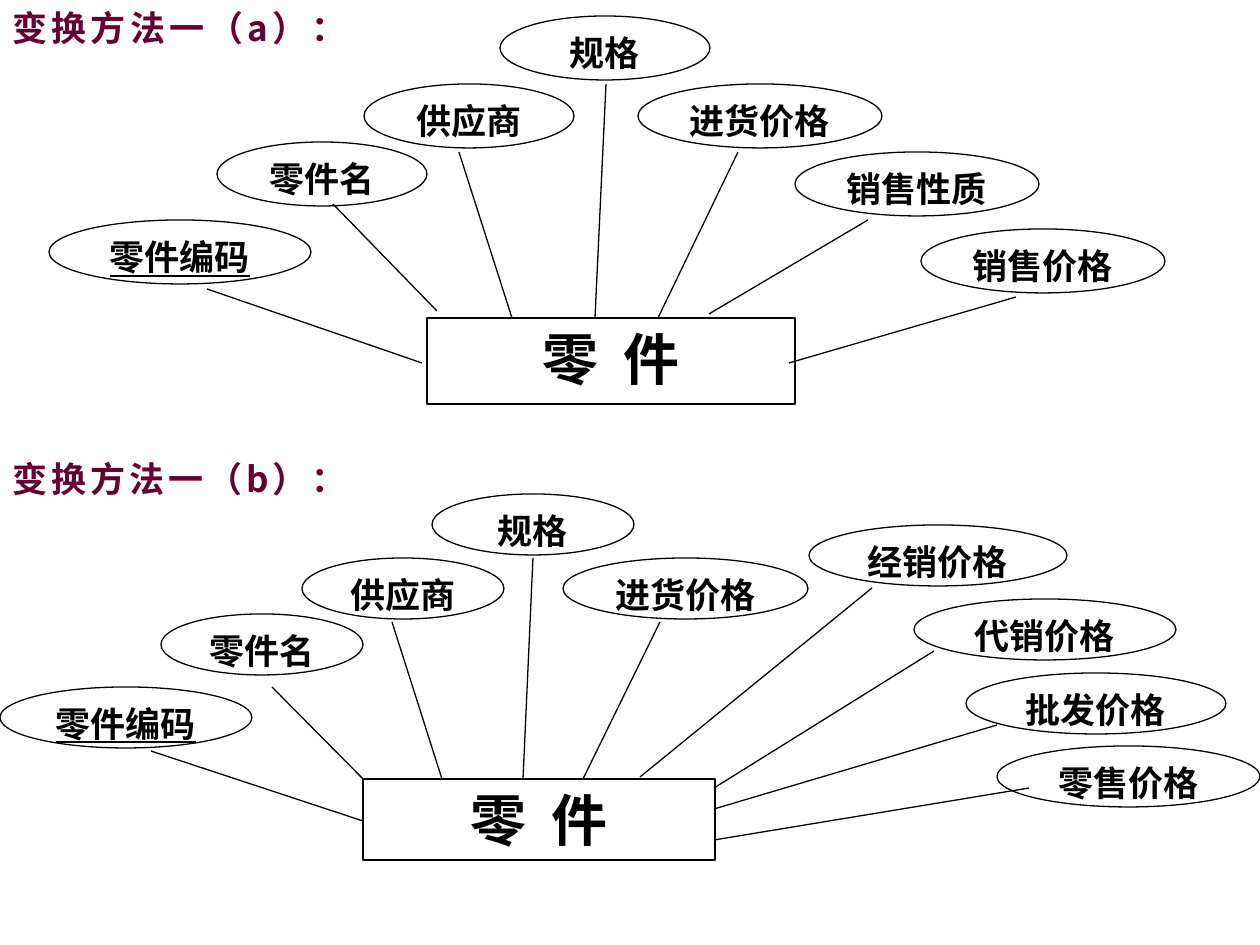
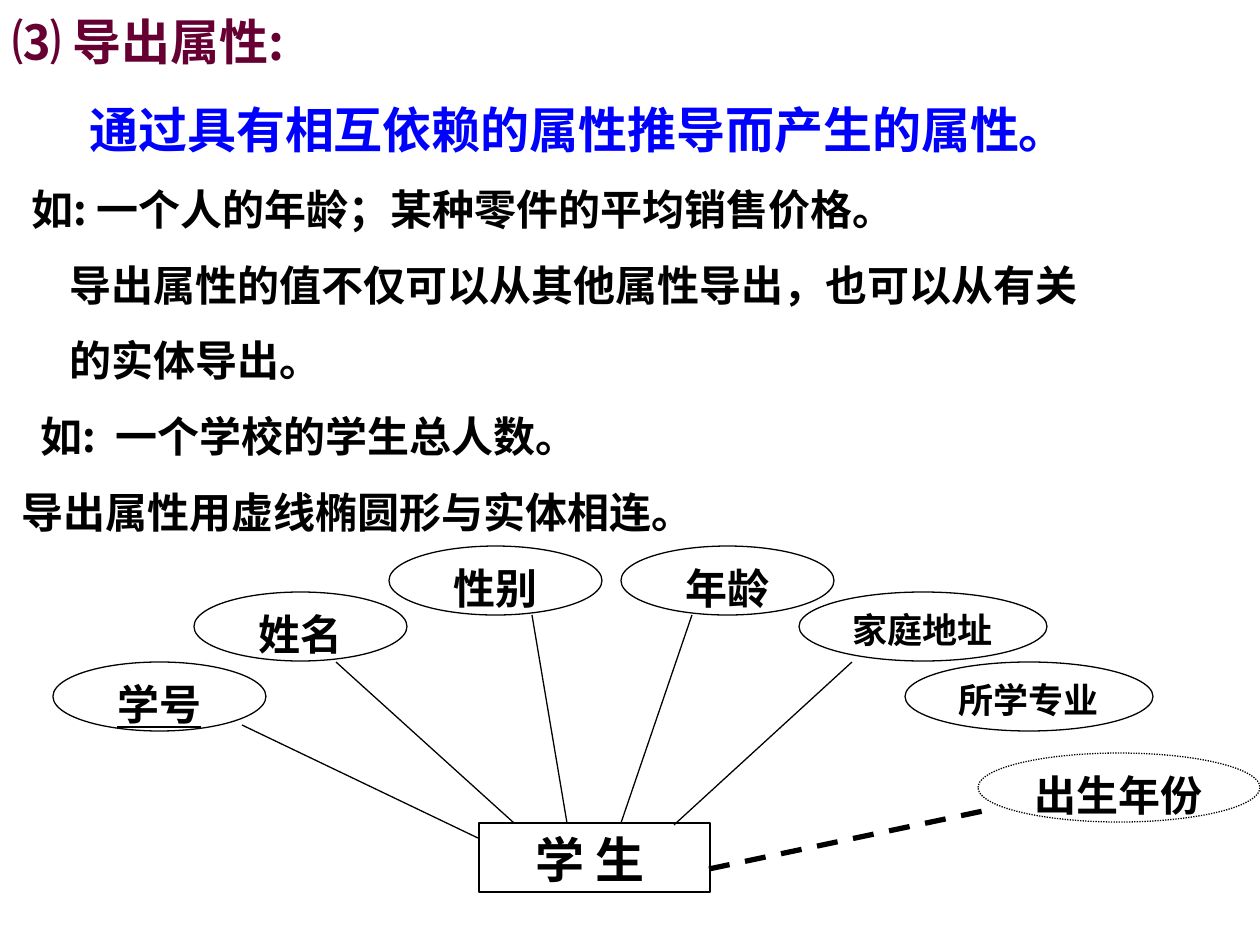
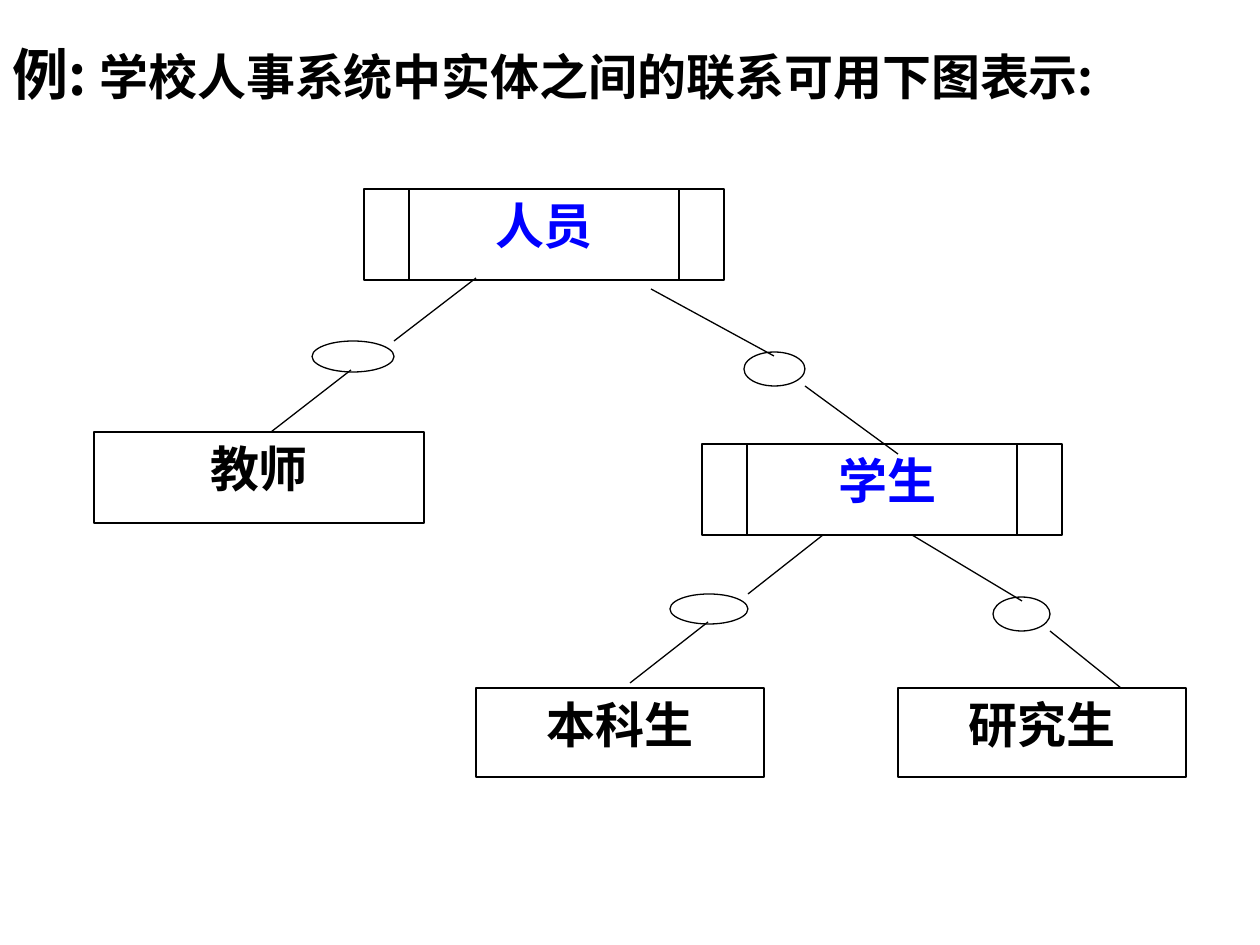
from lxml.etree import SubElement
from pptx import Presentation
from pptx.dml.color import RGBColor
from pptx.enum.dml import MSO_LINE_DASH_STYLE as Dash
from pptx.enum.shapes import MSO_CONNECTOR, MSO_SHAPE as Shape
from pptx.enum.text import MSO_ANCHOR, PP_ALIGN as Align
from pptx.oxml.ns import qn
from pptx.util import Emu, Pt

SCALE = 914400 / 126  # EMU in one px
COLORS = {"ink": "000000", "paper": "FFFFFF", "heading": "660033", "accent": "0000FF"}
SANS, SERIF = "Noto Sans CJK SC", "Times New Roman"

# Ellipses: text, left, top, width.  Lines: x1, y1, x2, y2.
METHODS = [
    {
        "title": "变换方法一（a）：", "title_top": 0, "height": 64,
        "entity": ("零  件", 427, 318, 368, 86),
        "attributes": [
            ("零件编码", 49, 220, 262), ("零件名", 217, 142, 210),
            ("供应商", 364, 84, 210), ("规格", 500, 16, 210),
            ("进货价格", 638, 84, 244), ("销售性质", 795, 152, 244),
            ("销售价格", 921, 229, 244),
        ],
        "lines_below": [],
        "lines_above": [
            (333, 204, 437, 311), (207, 289, 422, 363), (459, 152, 512, 318),
            (606, 84, 595, 318), (738, 152, 658, 318), (868, 220, 709, 314),
            (1016, 297, 789, 363),
        ],
    },
    {
        "title": "变换方法一（b）：", "title_top": 451, "height": 61,
        "entity": ("零  件", 363, 779, 352, 81),
        "attributes": [
            ("零件编码", 0, 687, 252), ("零件名", 161, 614, 202),
            ("供应商", 302, 558, 202), ("规格", 432, 494, 202),
            ("进货价格", 563, 558, 245), ("经销价格", 809, 525, 258),
            ("代销价格", 914, 599, 262), ("批发价格", 966, 673, 260),
            ("零售价格", 997, 746, 263),
        ],
        "lines_below": [
            (272, 687, 372, 788), (151, 751, 372, 824), (392, 622, 442, 779),
            (533, 558, 523, 779), (660, 622, 583, 779), (872, 588, 640, 777),
        ],
        "lines_above": [
            (934, 651, 714, 788), (997, 725, 714, 809), (1029, 788, 714, 840),
        ],
    },
]

# Text, size, colour, indent
DERIVED_TEXT = [
    ("⑶ 导出属性:", 28, "heading", 0),
    ("通过具有相互依赖的属性推导而产生的属性。", 28, "accent", 77),
    ("如: 一个人的年龄；某种零件的平均销售价格。", 24, "ink", 19),
    ("导出属性的值不仅可以从其他属性导出，也可以从有关", 24, "ink", 57),
    ("的实体导出。", 24, "ink", 57),
    ("如:  一个学校的学生总人数。", 24, "ink", 28),
    ("导出属性用虚线椭圆形与实体相连。", 24, "ink", 9),
]
# Text, size, left, top, width
STUDENT_ATTRIBUTES = [
    ("学号", 24, 53, 662, 213), ("姓名", 24, 194, 592, 213),
    ("性别", 24, 389, 546, 213), ("年龄", 24, 621, 546, 213),
    ("家庭地址", 20, 799, 592, 248), ("所学专业", 20, 905, 662, 248),
    ("出生年份", 24, 978, 753, 282),
]
STUDENT_LINES = [
    (242, 725, 478, 838), (336, 662, 514, 823), (532, 615, 567, 823),
    (692, 615, 621, 823), (852, 662, 674, 825),
]

EXAMPLE_TITLE = [("例: ", 32), ("学校人事系统中实体之间的联系可用下图表示:", 28)]
# Text, place, indent
SUPERTYPES = [("人员", (364, 189, 360, 91), 0), ("学生", (702, 444, 360, 91), 11)]
SUBTYPES = [
    ("教师", (94, 432, 330, 91)),
    ("本科生", (476, 688, 288, 89)),
    ("研究生", (898, 688, 288, 89)),
]
LINK_ELLIPSES = [
    (312, 341, 82, 31), (744, 352, 61, 34), (670, 594, 78, 30), (993, 597, 57, 34),
]
LINK_LINES = [
    (394, 341, 476, 278), (351, 370, 271, 432), (651, 289, 774, 356),
    (805, 386, 898, 454), (748, 594, 823, 535), (708, 622, 630, 683),
    (912, 535, 1022, 601), (1050, 631, 1121, 688),
]


def px(*lengths):
    return [Emu(round(length * SCALE)) for length in lengths]


def color(name):
    return RGBColor.from_string(COLORS[name])


def style(para, size, face=SERIF, tone="ink", align=Align.CENTER, indent=0):
    para.alignment = align
    if indent:
        para._p.get_or_add_pPr().set("marL", str(px(indent)[0]))
    font = para.font
    font.name, font.size, font.bold = face, Pt(size), True
    font.color.rgb = color(tone)
    east_asian = SubElement(para._p.pPr.find(qn("a:defRPr")), qn("a:ea"))
    east_asian.set("typeface", SANS)


def add_node(page, kind, place, text="", size=20, **looks):
    """Add a white outlined shape whose text starts at its top."""
    node = page.shapes.add_shape(kind, *px(*place))
    node.shadow.inherit = False
    node.fill.solid()
    node.fill.fore_color.rgb = color("paper")
    node.line.color.rgb = color("ink")
    node.line.width = Pt(0.75)
    if text:
        frame = node.text_frame
        frame.vertical_anchor = MSO_ANCHOR.TOP
        frame.text = text
        style(frame.paragraphs[0], size, **looks)
    return node


def add_lines(page, lines, width=0.75, dash=None):
    for ends in lines:
        line = page.shapes.add_connector(MSO_CONNECTOR.STRAIGHT, *px(*ends))
        SubElement(line._element.spPr, qn("a:effectLst"))
        line.line.color.rgb = color("ink")
        line.line.width = Pt(width)
        if dash:
            line.line.dash_style = dash


def add_text_frame(page, *place):
    frame = page.shapes.add_textbox(*px(*place)).text_frame
    frame.word_wrap = True
    return frame


def underline_key(node):
    node.text_frame.paragraphs[0].font.underline = True


def build_methods(page):
    for method in METHODS:
        add_lines(page, method["lines_below"])
        text, *place = method["entity"]
        add_node(page, Shape.RECTANGLE, place, text, 32)
        ellipses = [
            add_node(page, Shape.OVAL, (*place, method["height"]), text)
            for text, *place in method["attributes"]
        ]
        underline_key(ellipses[0])
        add_lines(page, method["lines_above"])
        frame = add_text_frame(page, 0, method["title_top"], 324, 54)
        frame.text = method["title"]
        style(frame.paragraphs[0], 20, SANS, "heading", Align.JUSTIFY)


def build_derived(page):
    frame = add_text_frame(page, 0, -24, 1260, 643)
    for index, (text, size, tone, indent) in enumerate(DERIVED_TEXT):
        para = frame.add_paragraph() if index else frame.paragraphs[0]
        para.text = text
        para.line_spacing = Pt(size * 1.8)
        style(para, size, SANS, tone, Align.JUSTIFY, indent)
    add_node(page, Shape.RECTANGLE, (479, 823, 231, 69), "学 生", 28,
             align=Align.LEFT, indent=44)
    ellipses = [
        add_node(page, Shape.OVAL, (*place, 69), text, size)
        for text, size, *place in STUDENT_ATTRIBUTES
    ]
    underline_key(ellipses[0])
    ellipses[-1].line.dash_style = Dash.ROUND_DOT
    add_lines(page, STUDENT_LINES)
    add_lines(page, [(709, 869, 988, 810)], 3, Dash.DASH)


def build_example(page):
    para = add_text_frame(page, 0, 0, 1260, 113).paragraphs[0]
    para.line_spacing = Pt(EXAMPLE_TITLE[0][1] * 1.8)
    style(para, 28, SANS, align=Align.JUSTIFY)
    for text, size in EXAMPLE_TITLE:
        span = para.add_run()
        span.text = text
        span.font.size = Pt(size)
    for text, place, indent in SUPERTYPES:
        add_node(page, Shape.FLOWCHART_PREDEFINED_PROCESS, place, text, 28,
                 tone="accent", indent=indent)
    for text, place in SUBTYPES:
        add_node(page, Shape.FLOWCHART_PROCESS, place, text, 28)
    for place in LINK_ELLIPSES:
        add_node(page, Shape.OVAL, place)
    add_lines(page, LINK_LINES)


def main():
    deck = Presentation()
    deck.slide_width, deck.slide_height = px(1260, 945)
    for build in (build_methods, build_derived, build_example):
        build(deck.slides.add_slide(deck.slide_layouts[6]))
    deck.save("out.pptx")


if __name__ == "__main__":
    main()
